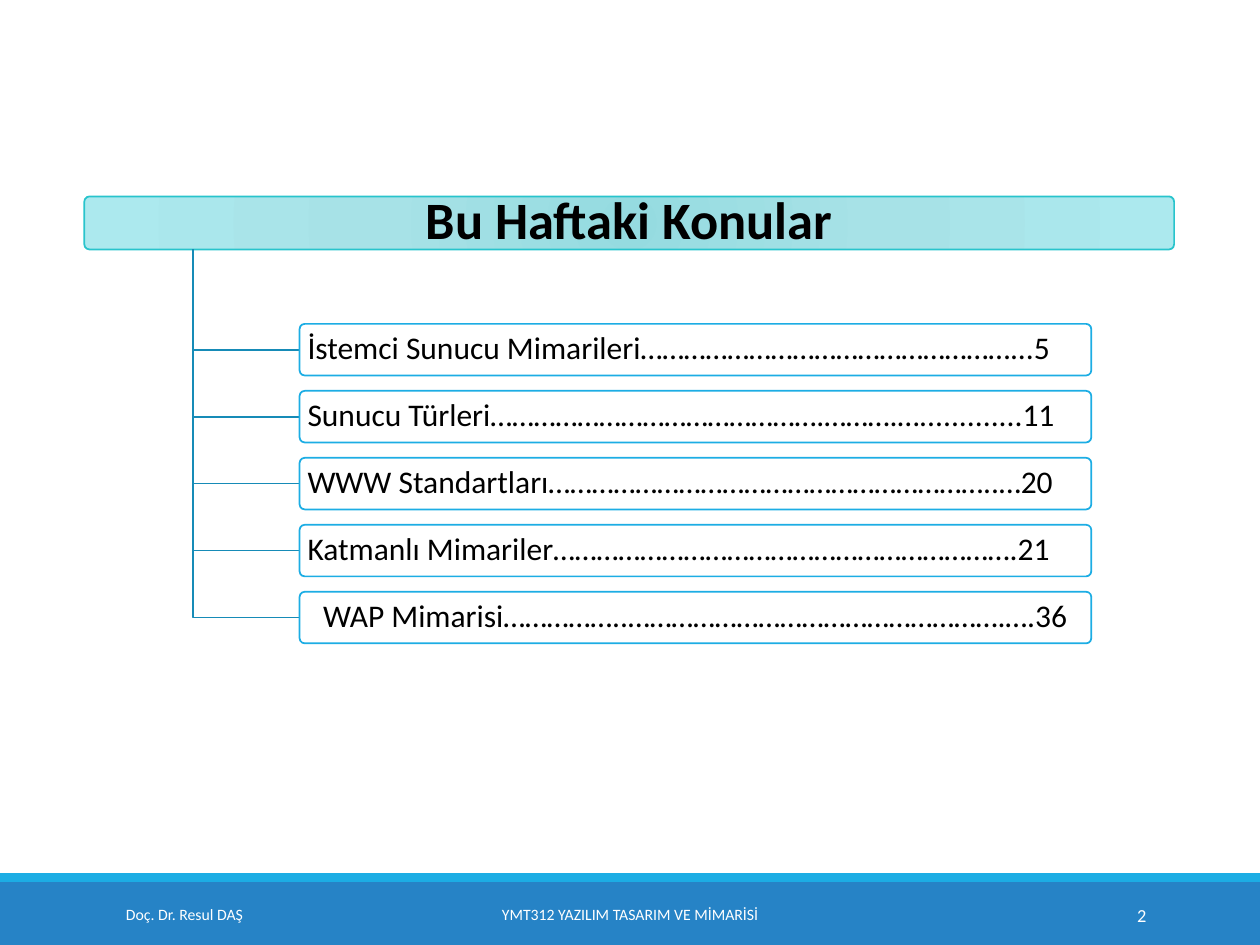
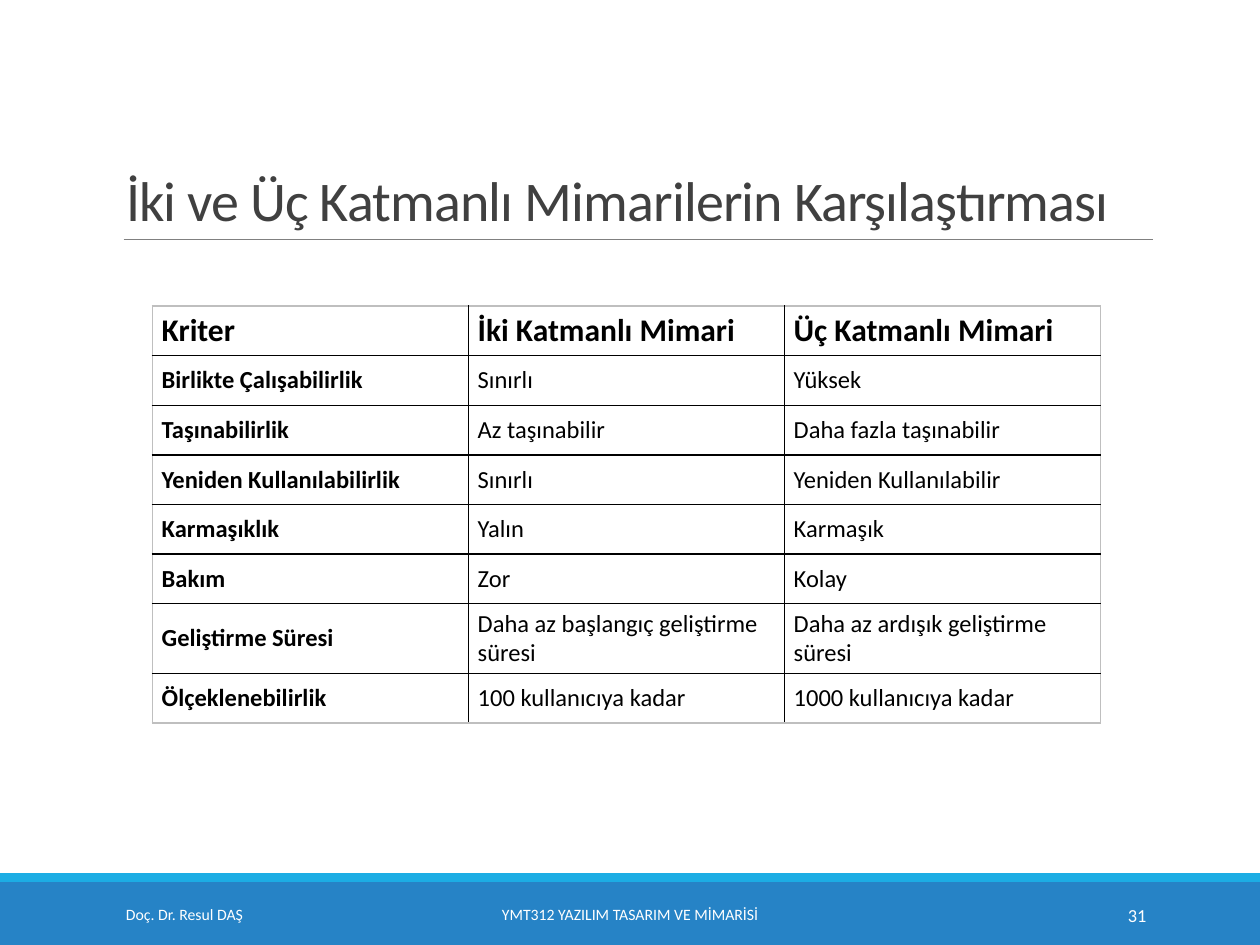
from dataclasses import dataclass

from lxml import etree
from pptx import Presentation
from pptx.dml.color import RGBColor
from pptx.enum.shapes import MSO_SHAPE
from pptx.enum.text import MSO_ANCHOR, MSO_AUTO_SIZE, PP_ALIGN
from pptx.oxml.ns import qn
from pptx.util import Cm, Pt

LEFT, CENTER, RIGHT = PP_ALIGN.LEFT, PP_ALIGN.CENTER, PP_ALIGN.RIGHT
MIDDLE, BOTTOM = MSO_ANCHOR.MIDDLE, MSO_ANCHOR.BOTTOM
RECT, ROUNDED = MSO_SHAPE.RECTANGLE, MSO_SHAPE.ROUNDED_RECTANGLE
TITLE_ONLY = 5

# Content
LECTURER = "Doç. Dr. Resul DAŞ"
COURSE = "YMT312 YAZILIM TASARIM VE MİMARİSİ"

AGENDA_TITLE = "Bu Haftaki Konular"
AGENDA = [
    ("İstemci Sunucu Mimarileri……………………………………………...5", LEFT),
    ("Sunucu Türleri……………………………………….……….….............11", LEFT),
    ("WWW Standartları……………………………………………………..…20", LEFT),
    ("Katmanlı Mimariler……………………………………………………….21", LEFT),
    ("WAP Mimarisi……………..…………………………………………….….36", CENTER),
]

COMPARISON_TITLE = "İki ve Üç Katmanlı Mimarilerin Karşılaştırması"
COMPARISON = [
    ("Kriter", "İki Katmanlı Mimari", "Üç Katmanlı Mimari"),
    ("Birlikte Çalışabilirlik", "Sınırlı", "Yüksek"),
    ("Taşınabilirlik", "Az taşınabilir", "Daha fazla taşınabilir"),
    ("Yeniden Kullanılabilirlik", "Sınırlı", "Yeniden Kullanılabilir"),
    ("Karmaşıklık", "Yalın", "Karmaşık"),
    ("Bakım", "Zor", "Kolay"),
    ("Geliştirme Süresi", "Daha az başlangıç geliştirme süresi",
     "Daha az ardışık geliştirme süresi"),
    ("Ölçeklenebilirlik", "100 kullanıcıya kadar", "1000 kullanıcıya kadar"),
]
TALL_ROW = 6


@dataclass(frozen=True)
class Theme:
    font: str = "Calibri"
    white: str = "FFFFFF"
    black: str = "000000"
    band: str = "2683C6"
    accent: str = "1CADE4"
    branch: str = "168BB7"
    banner_line: str = "28C4CC"
    banner_stops: tuple = ((0, "95DBE0"), (45, "A7E2E7"), (100, "ACE9EE"))
    title: str = "404040"
    rule: str = "808080"
    table_edge: str = "BFBFBF"
    title_size: float = 32
    banner_size: float = 30
    head_size: float = 18
    cell_size: float = 14
    footer_size: float = 9
    number_size: float = 10.5


THEME = Theme()


# Formatting helpers
def rgb(code):
    return RGBColor.from_string(code)


def sub(parent, tag, **attributes):
    return etree.SubElement(parent, qn(tag), attributes)


def write(frame, text, size, color, align=LEFT, bold=False, spacing=1.0):
    paragraph = frame.paragraphs[0]
    paragraph.alignment, paragraph.line_spacing = align, spacing
    run = paragraph.add_run()
    run.text = text
    run.font.color.rgb = rgb(color)
    for name, value in {"name": THEME.font, "size": Pt(size), "bold": bold}.items():
        setattr(run.font, name, value)
    return run


def set_frame(frame, anchor=MIDDLE, side=0.25, top=0.13):
    settings = {"word_wrap": True, "auto_size": MSO_AUTO_SIZE.NONE,
                "vertical_anchor": anchor,
                "margin_left": Cm(side), "margin_right": Cm(side),
                "margin_top": Cm(top), "margin_bottom": Cm(top)}
    for name, value in settings.items():
        setattr(frame, name, value)


def place(shape, box):
    for name, value in zip(("left", "top", "width", "height"), box):
        setattr(shape, name, Cm(value))


def add_box(slide, kind, box, fill=None, line=None):
    shape = slide.shapes.add_shape(kind, *map(Cm, box))
    shape.shadow.inherit = False
    if kind == ROUNDED:
        shape.adjustments[0] = 0.1
    if fill:
        shape.fill.solid()
        shape.fill.fore_color.rgb = rgb(fill)
    if line:
        shape.line.color.rgb, shape.line.width = rgb(line), Pt(1)
    else:
        shape.line.fill.background()
    return shape


def add_label(slide, box, text, size, align):
    label = slide.shapes.add_textbox(*map(Cm, box))
    set_frame(label.text_frame)
    write(label.text_frame, text, size, THEME.white, align)


def fill_from_center(shape, stops):
    shape.fill.gradient()
    gradient = shape.fill._xPr.find(qn("a:gradFill"))
    for child in list(gradient):
        gradient.remove(child)
    stop_list = sub(gradient, "a:gsLst")
    for position, color in stops:
        stop = sub(stop_list, "a:gs", pos=str(position * 1000))
        sub(stop, "a:srgbClr", val=color)
    circle = sub(gradient, "a:path", path="circle")
    sub(circle, "a:fillToRect", **dict.fromkeys("ltrb", "100000"))


def set_borders(cell, colors):
    properties = cell._tc.get_or_add_tcPr()
    for index, (side, color) in enumerate(colors.items()):
        border = etree.Element(qn(f"a:ln{side}"), w=str(Pt(1)))
        sub(sub(border, "a:solidFill"), "a:srgbClr", val=color)
        properties.insert(index, border)


# Shared slide: bands and footer
def add_slide(deck, number):
    slide = deck.slides.add_slide(deck.slide_layouts[TITLE_ONLY])
    add_box(slide, RECT, (0, 17.78, 25.4, 1.27), THEME.band)
    add_box(slide, RECT, (0, 17.6, 25.4, 0.18), THEME.accent)
    for left, width, text, size, align in (
            (2.29, 5.16, LECTURER, THEME.footer_size, LEFT),
            (7.67, 10.06, COURSE, THEME.footer_size, CENTER),
            (20.62, 2.74, number, THEME.number_size, RIGHT)):
        add_label(slide, (left, 17.93, width, 1.02), text, size, align)
    return slide


# Agenda: banner with topics branching off a trunk
def build_agenda(deck):
    slide = add_slide(deck, "2")
    banner_box = (1.7, 3.96, 21.97, 1.07)
    trunk, trunk_top = 3.89, 5.03
    topic_left, topic_top, topic_width, topic_height = 6.04, 6.53, 15.96, 1.04
    pitch = 1.35

    banner = add_box(slide, ROUNDED, banner_box, line=THEME.banner_line)
    fill_from_center(banner, THEME.banner_stops)
    heading = slide.shapes.title
    place(heading, banner_box)
    set_frame(heading.text_frame, side=0.15, top=0.1)
    write(heading.text_frame, AGENDA_TITLE, THEME.banner_size, THEME.black,
          CENTER, bold=True, spacing=0.9)
    banner._element.addnext(heading._element)

    for index, (text, align) in enumerate(AGENDA):
        top = topic_top + index * pitch
        middle = top + topic_height / 2
        outline = slide.shapes.build_freeform(Cm(trunk), Cm(trunk_top))
        outline.add_line_segments([(Cm(trunk), Cm(middle)),
                                   (Cm(topic_left), Cm(middle))], close=False)
        branch = outline.convert_to_shape()
        branch.shadow.inherit = False
        branch.fill.background()
        branch.line.color.rgb, branch.line.width = rgb(THEME.branch), Pt(1)

        topic = add_box(slide, ROUNDED, (topic_left, top, topic_width, topic_height),
                        THEME.white, THEME.accent)
        set_frame(topic.text_frame, side=0.13, top=0.1)
        write(topic.text_frame, text, THEME.head_size, THEME.black, align, spacing=0.9)


# Comparison: ruled title above a table
def build_comparison(deck):
    slide = add_slide(deck, "31")
    heading = slide.shapes.title
    place(heading, (2.29, 0.79, 20.95, 4.04))
    set_frame(heading.text_frame, BOTTOM)
    run = write(heading.text_frame, COMPARISON_TITLE, THEME.title_size,
                THEME.title, spacing=0.85)
    run.font._element.set("spc", "-50")

    rule = slide.shapes.add_connector(1, Cm(2.49), Cm(4.83), Cm(23.24), Cm(4.83))
    rule.line.color.rgb, rule.line.width = rgb(THEME.rule), Pt(0.5)
    sub(rule._element.spPr, "a:effectLst")

    last_row, last_column = len(COMPARISON) - 1, len(COMPARISON[0]) - 1
    table = slide.shapes.add_table(last_row + 1, last_column + 1, Cm(3.07), Cm(6.17),
                                   Cm(19.11), Cm(8.39)).table
    table.first_row = table.horz_banding = False
    for column in table.columns:
        column.width = Cm(6.37)
    for r, values in enumerate(COMPARISON):
        table.rows[r].height = Cm(1.39 if r == TALL_ROW else 1)
        for c, value in enumerate(values):
            cell = table.cell(r, c)
            cell.vertical_anchor = MIDDLE
            cell.margin_left = cell.margin_right = Cm(0.19)
            cell.margin_top = cell.margin_bottom = Cm(0.1)
            cell.fill.solid()
            cell.fill.fore_color.rgb = rgb(THEME.white)
            write(cell.text_frame, value, THEME.cell_size if r else THEME.head_size,
                  THEME.black, bold=r == 0 or c == 0)
            outer = {"L": c == 0, "R": c == last_column, "T": r == 0, "B": r == last_row}
            set_borders(cell, {side: THEME.table_edge if edge else THEME.black
                               for side, edge in outer.items()})


def main():
    deck = Presentation()
    deck.slide_width, deck.slide_height = Cm(25.4), Cm(19.05)
    build_agenda(deck)
    build_comparison(deck)
    deck.save("out.pptx")


if __name__ == "__main__":
    main()
